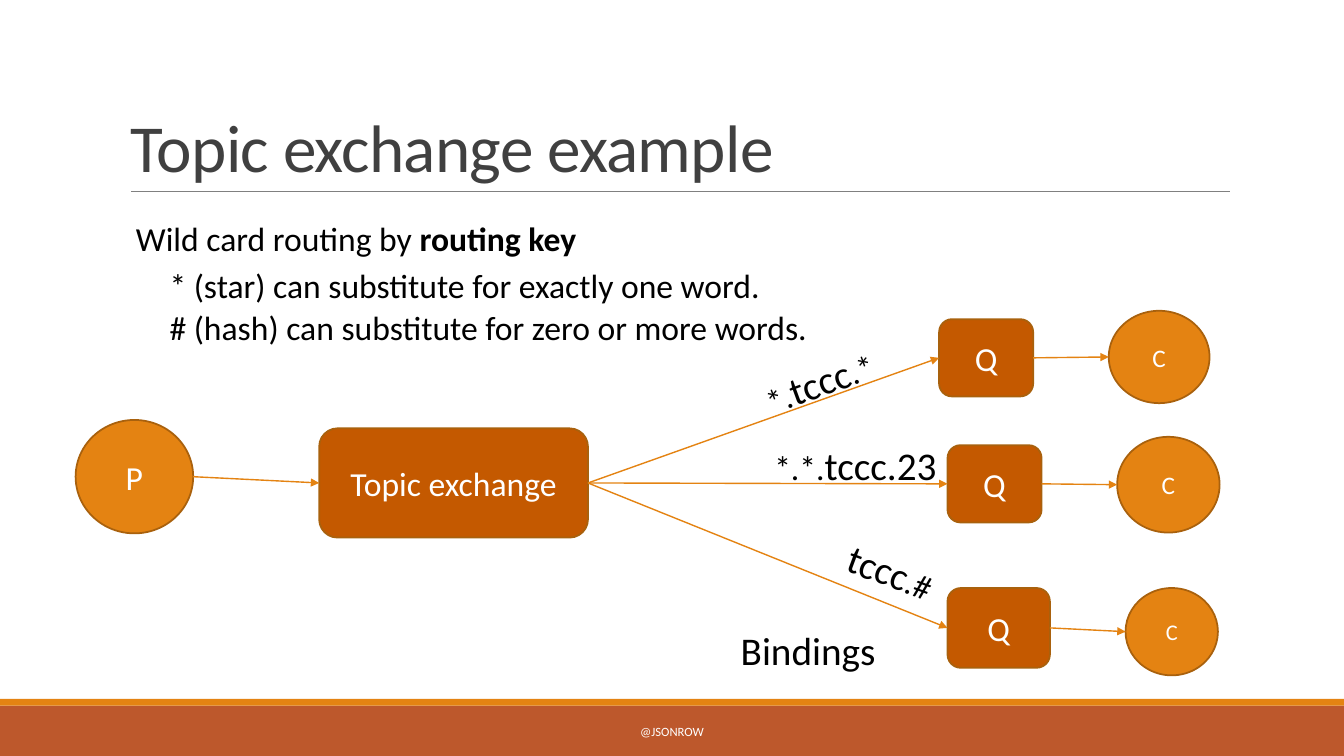
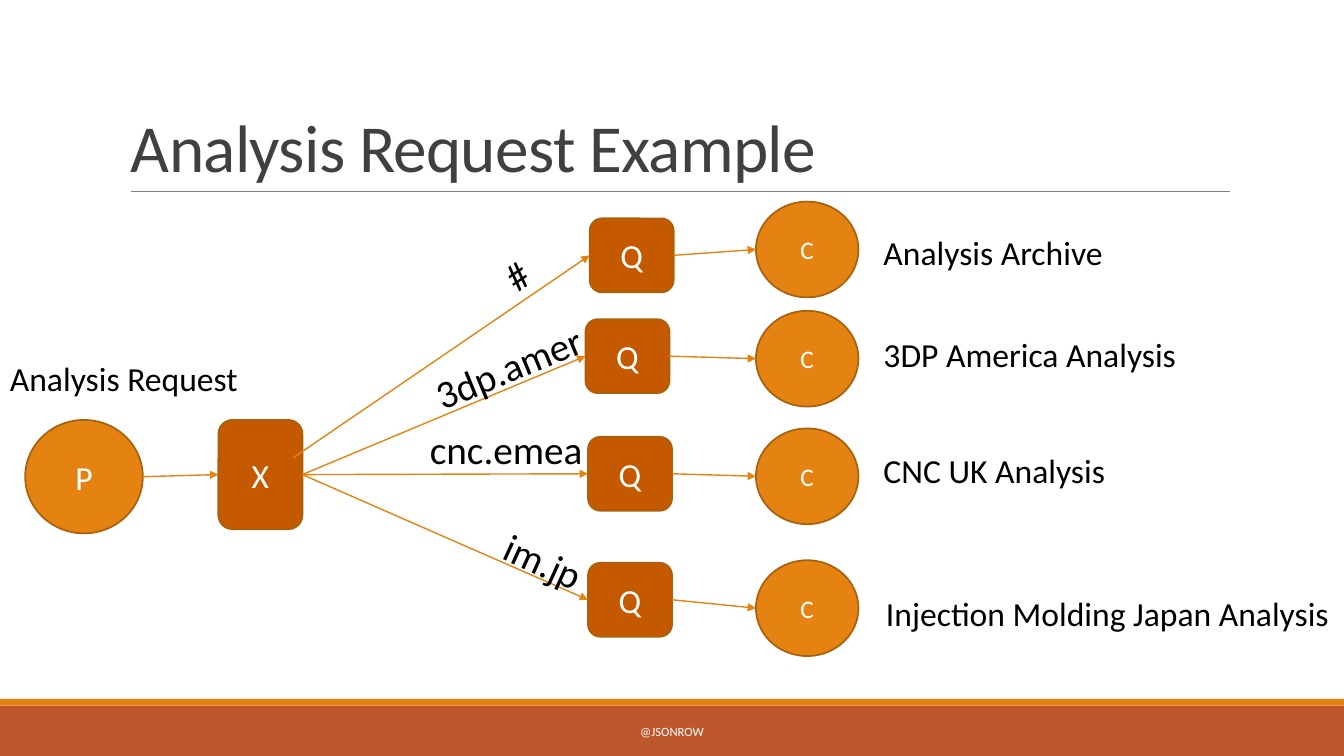
from dataclasses import dataclass

from lxml import etree
from pptx import Presentation
from pptx.dml.color import RGBColor
from pptx.enum.shapes import MSO_CONNECTOR, MSO_SHAPE
from pptx.enum.text import MSO_ANCHOR, PP_ALIGN
from pptx.oxml.ns import qn
from pptx.util import Inches, Pt

RECTANGLE, ROUNDED, OVAL = MSO_SHAPE.RECTANGLE, MSO_SHAPE.ROUNDED_RECTANGLE, MSO_SHAPE.OVAL
STRAIGHT = MSO_CONNECTOR.STRAIGHT
TOP, MIDDLE, BOTTOM = MSO_ANCHOR.TOP, MSO_ANCHOR.MIDDLE, MSO_ANCHOR.BOTTOM
LEFT, CENTER = PP_ALIGN.LEFT, PP_ALIGN.CENTER
LEFT_SIDE, RIGHT_SIDE = 1, 3

WHITE = RGBColor(0xFF, 0xFF, 0xFF)
BLACK = RGBColor(0, 0, 0)
TITLE_GREY = RGBColor(0x40, 0x40, 0x40)
RULE_GREY = RGBColor(0x80, 0x80, 0x80)
ORANGE = RGBColor(0xE4, 0x83, 0x12)
RUST = RGBColor(0xBD, 0x58, 0x2C)
DARK_ORANGE = RGBColor(0xC4, 0x59, 0x00)
OUTLINE = RGBColor(0xA9, 0x61, 0x0D)

FONT_NAME = "Calibri"
COLUMNS, ROWS = 16, 9
CELL = Inches(7.5) // ROWS
LINE_HEIGHT, LABEL_HEIGHT = 0.6, 0.68


@dataclass(frozen=True)
class Box:
    """Area of the slide, measured in grid cells."""
    left: float
    top: float
    width: float
    height: float

    def area(self, left, top, width, height):
        return Box(self.left + left, self.top + top, width, height)

    def emu(self):
        return [round(n * CELL) for n in (self.left, self.top, self.width, self.height)]

    def left_middle(self):
        return self.left, self.top + self.height / 2

    def right_middle(self):
        return self.left + self.width, self.top + self.height / 2


@dataclass(frozen=True)
class Route:
    """One binding: its label, queue and consumer, relative to the diagram."""
    label: tuple
    runs: list
    queue: tuple
    consumer: tuple
    rotation: float = 0
    consumer_size: int = 18
    start: tuple = None


SLIDE = Box(0, 0, COLUMNS, ROWS)


def write(shape, runs, size, color, align=LEFT, anchor=TOP):
    """Fill a shape with one paragraph of (text, font changes) runs."""
    frame = shape.text_frame
    frame.word_wrap = True
    frame.vertical_anchor = anchor
    paragraph = frame.paragraphs[0]
    paragraph.alignment = align
    for text, changes in runs:
        run = paragraph.add_run()
        run.text = text
        run.font.color.rgb = color
        formats = {"name": FONT_NAME, "size": Pt(size), "bold": False} | changes
        for name, value in formats.items():
            setattr(run.font, name, value)
    return paragraph


def add_text(slide, box, runs, size, color=BLACK, rotation=0, **layout):
    shape = slide.shapes.add_textbox(*box.emu())
    shape.rotation = rotation
    return write(shape, runs, size, color, **layout)


def add_block(slide, kind, box, fill, outline=None, text="", size=24):
    shape = slide.shapes.add_shape(kind, *box.emu())
    shape.shadow.inherit = False
    shape.fill.solid()
    shape.fill.fore_color.rgb = fill
    if outline is None:
        shape.line.fill.background()
    else:
        shape.line.color.rgb = outline
        shape.line.width = Pt(1.25)
    if text:
        write(shape, [(text, {})], size, WHITE, CENTER, MIDDLE)
    return shape


def add_line(slide, start, end, color, width):
    points = [round(n * CELL) for n in (*start, *end)]
    line = slide.shapes.add_connector(STRAIGHT, *points)
    line.line.color.rgb = color
    line.line.width = Pt(width)
    etree.SubElement(line._element.spPr, qn("a:effectLst"))
    return line


def add_arrow(slide, start, end, source=None, target=None):
    """Draw an arrow, joined to the rectangles at its ends where given."""
    arrow = add_line(slide, start, end, ORANGE, 1)
    outline = arrow._element.spPr.find(qn("a:ln"))
    etree.SubElement(outline, qn("a:tailEnd"), type="triangle")
    if source is not None:
        arrow.begin_connect(source, RIGHT_SIDE)
    if target is not None:
        arrow.end_connect(target, LEFT_SIDE)


def add_title(slide, box, title):
    paragraph = add_text(slide, box.area(1.44, 0.37, 13.2, 1.91), [(title, {})], 48,
                         TITLE_GREY, anchor=BOTTOM)
    paragraph.line_spacing = 0.85
    paragraph.runs[0].font._element.set("spc", "-50")
    rule_y = box.top + 2.28
    add_line(slide, (box.left + 1.56, rule_y), (box.left + 14.64, rule_y), RULE_GREY, 0.5)


def add_footer(slide, box):
    add_block(slide, RECTANGLE, box.area(0, 8.4, box.width, 0.6), RUST)
    add_block(slide, RECTANGLE, box.area(0, 8.32, box.width, 0.08), ORANGE)
    add_text(slide, box.area(4.84, 8.47, 6.32, 0.48), [("@JSONROW", {})], 9, WHITE,
             align=CENTER, anchor=MIDDLE)


def start_slide(presentation, title):
    slide = presentation.slides.add_slide(presentation.slide_layouts[6])
    add_footer(slide, SLIDE)
    add_title(slide, SLIDE, title)
    return slide


def add_route(slide, box, exchange, exchange_box, route):
    queue_box, consumer_box = box.area(*route.queue), box.area(*route.consumer)
    queue = add_block(slide, ROUNDED, queue_box, DARK_ORANGE, OUTLINE, "Q")
    add_block(slide, OVAL, consumer_box, ORANGE, OUTLINE, "C", route.consumer_size)
    if route.start:
        start = box.left + route.start[0], box.top + route.start[1]
        add_arrow(slide, start, queue_box.left_middle(), target=queue)
    else:
        add_arrow(slide, exchange_box.right_middle(), queue_box.left_middle(), exchange, queue)
    add_arrow(slide, queue_box.right_middle(), consumer_box.left_middle(), source=queue)
    add_text(slide, box.area(*route.label, LABEL_HEIGHT), route.runs, 28,
             rotation=route.rotation)


def add_routing(slide, box, producer, exchange, exchange_name, routes):
    """Draw producer, exchange and the routes that fan out from it."""
    producer_box, exchange_box = box.area(*producer, 1.4, 1.35), box.area(*exchange)
    add_block(slide, OVAL, producer_box, ORANGE, OUTLINE, "P")
    exchange_shape = add_block(slide, ROUNDED, exchange_box, DARK_ORANGE, OUTLINE,
                               exchange_name)
    add_arrow(slide, producer_box.right_middle(), exchange_box.left_middle(),
              target=exchange_shape)
    for route in routes:
        add_route(slide, box, exchange_shape, exchange_box, route)


def add_wildcard_rules(slide, box):
    rules = [
        (0, 0, [("Wild card routing by ", {}), ("routing key", {"bold": True})]),
        (0.4, 0.56, [("* (star) can substitute for exactly one word.", {})]),
        (0.4, 1.06, [("# (hash) can substitute for zero or more words.", {})]),
    ]
    for indent, top, runs in rules:
        add_text(slide, box.area(indent, top, box.width - indent, LINE_HEIGHT), runs, 24)


def build_topic_exchange(presentation):
    slide = start_slide(presentation, "Topic exchange example")
    add_wildcard_rules(slide, Box(1.5, 2.54, 9.1, 1.66))
    small = {"size": Pt(24)}
    routes = [
        Route((8.92, 0.26, 3), [("*.", small), ("tccc", {}), (".*", small)],
              (11.18, 0.1, 1.12, 0.92), (13.2, 0, 1.2, 1.1), rotation=-20),
        Route((9.1, 1.5, 3), [("*.*.", small), ("tccc.23", {})],
              (11.28, 1.6, 1.12, 0.92), (13.3, 1.5, 1.22, 1.14)),
        Route((9.96, 2.79, 1.43), [("tccc", {}), (".#", small)],
              (11.28, 3.3, 1.22, 0.95), (13.4, 3.3, 1.1, 1.04),
              rotation=20.5, consumer_size=16),
    ]
    diagram = Box(0, 3.7, COLUMNS, 4.4)
    add_routing(slide, diagram, (0.9, 1.3), (3.8, 1.4, 3.2, 1.3), "Topic exchange", routes)
    add_text(slide, diagram.area(8.7, 3.7, 2, LABEL_HEIGHT), [("Bindings", {})], 28)


def build_analysis_request(presentation):
    slide = start_slide(presentation, "Analysis Request Example")
    queue_size, consumer_size = (1, 0.88), (1.22, 1.14)
    bindings = [
        ("#", (5.92, 0.53, 0.48), -34.2, (7.02, 0.2), 0, (3.49, 3.05)),
        ("3dp.amer", (4.98, 1.45, 3), -22.4, (6.97, 1.4), 1.3, None),
        ("cnc.emea", (5, 2.6, 3), 0, (7, 2.8), 2.7, None),
        ("im.jp", (5.87, 3.96, 1.3), 24.5, (7, 4.3), 4.27, None),
    ]
    routes = [
        Route(label, [(key, {})], queue + queue_size, (9, consumer_top) + consumer_size,
              rotation=rotation, start=start)
        for key, label, rotation, queue, consumer_top, start in bindings
    ]
    diagram = Box(0, 2.4, COLUMNS, 5.5)
    add_routing(slide, diagram, (0.3, 2.6), (2.6, 2.6, 1, 1.3), "X", routes)
    captions = [
        ("Analysis Request", 0, 1.8, 3.2),
        ("Analysis Archive", 10.4, 0.3, 5.6),
        ("3DP America Analysis", 10.4, 1.52, 5.6),
        ("CNC UK Analysis", 10.4, 2.9, 5.6),
        ("Injection Molding Japan Analysis", 10.43, 4.6, 5.57),
    ]
    for text, left, top, width in captions:
        add_text(slide, diagram.area(left, top, width, LINE_HEIGHT), [(text, {})], 24)


def main():
    presentation = Presentation()
    presentation.slide_width = COLUMNS * CELL
    presentation.slide_height = ROWS * CELL
    build_topic_exchange(presentation)
    build_analysis_request(presentation)
    presentation.save("out.pptx")


if __name__ == "__main__":
    main()
